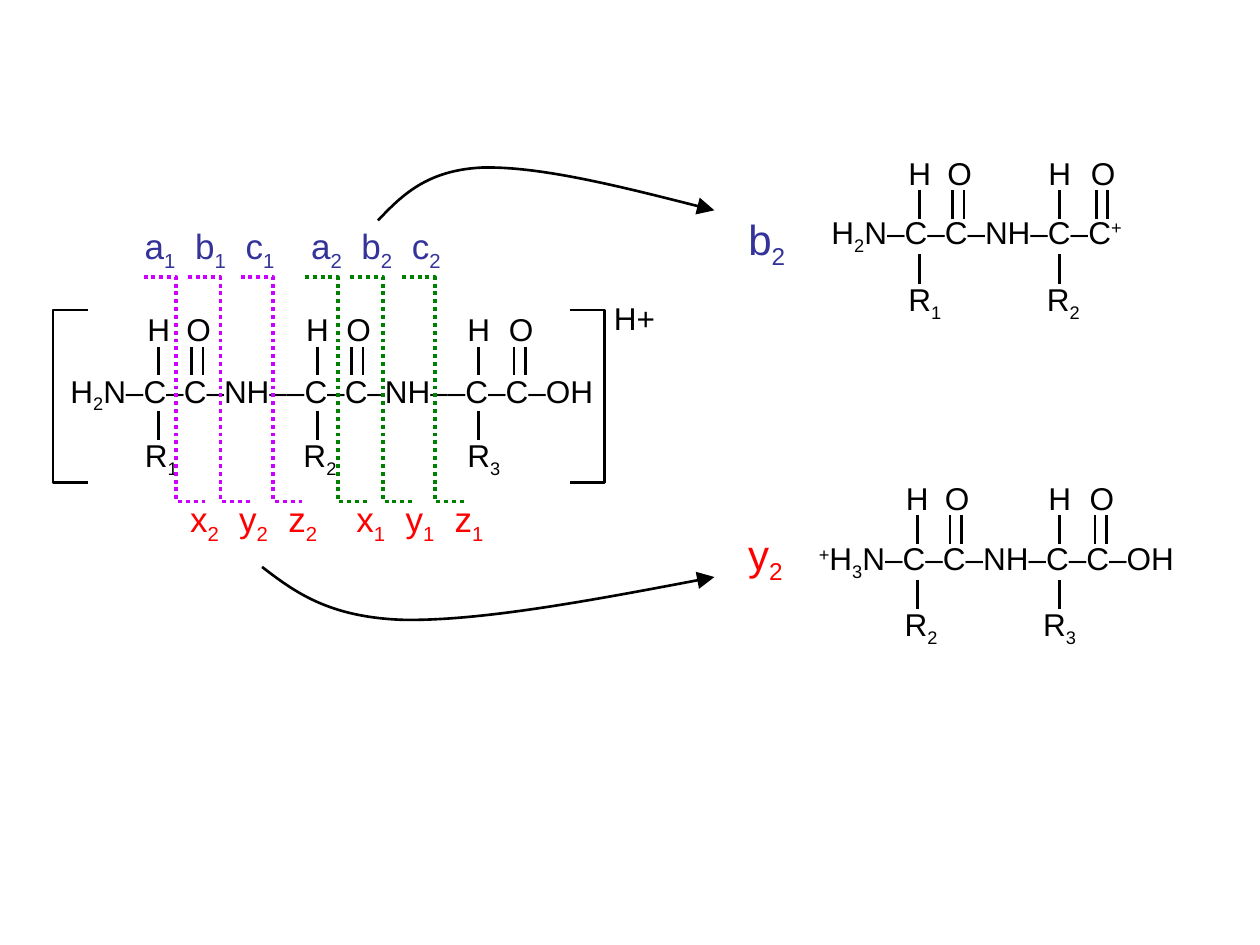
from lxml.etree import SubElement
from pptx import Presentation
from pptx.dml.color import RGBColor
from pptx.enum.dml import MSO_LINE
from pptx.enum.shapes import MSO_CONNECTOR
from pptx.enum.text import MSO_ANCHOR, PP_ALIGN
from pptx.oxml.ns import qn
from pptx.util import Inches, Pt

BLACK = RGBColor(0x00, 0x00, 0x00)
BLUE = RGBColor(0x33, 0x33, 0x99)
RED = RGBColor(0xFF, 0x00, 0x00)
PURPLE = RGBColor(0xCC, 0x00, 0xFF)
GREEN = RGBColor(0x00, 0x80, 0x00)
FONT = "Arial"
BASELINES = {"_": "-25000", "^": "30000"}

# Pieces are split by "|"; a leading _ or ^ makes a subscript or superscript.
# Residues: bond x, left of O, left of R, number of R
Y_ION = dict(
    chain=("^+|H|_3|N–C–C–NH–C–C–OH", 6.4, 4.23, 3.09), bond_top=4.09,
    residues=[(7.28, 7.4, 7.08, 2), (8.41, 8.55, 8.18, 3)])
B_ION = dict(
    chain=("H|_2|N–C–C–NH–C–C|^+", 6.5, 1.64, 2.67), bond_top=1.51,
    residues=[(7.3, 7.42, 7.11, 1), (8.41, 8.56, 8.21, 2)])
PEPTIDE = dict(
    chain=("H|_2|N–C–C–NH––C–C–NH––C–C–OH", 0.46, 2.9, 4.45), bond_top=2.75,
    residues=[(1.26, 1.38, 1.05, 1), (2.52, 2.65, 2.31, 2), (3.8, 3.94, 3.61, 3)])
ION_NAMES = [("y|_2", 4.14, 0.47, RED, Y_ION), ("b|_2", 1.64, 0.49, BLUE, B_ION)]

# Cleavage site: colour, cut lefts, upper letters' left and number, lower ones'
SITES = [
    (PURPLE, (1.14, 1.49, 1.91), (1.05, 1), (1.41, 2)),
    (GREEN, (2.42, 2.78, 3.19), (2.37, 2), (2.73, 1)),
]
CUT_TOP, CUT_BOTTOM, CUT_ARM = 2.2, 3.98, 0.26
# Letters, top, width, distance between letters, colour
UPPER_LABELS = ("abc", 1.73, 1.22, 0.4, BLUE)
LOWER_LABELS = ("xyz", 3.9, 1.19, 0.39, RED)

# Bracket: x of the open ends, x of the upright
BRACKETS = [(0.7, 0.42), (4.52, 4.8)]
BRACKET_TOP, BRACKET_BOTTOM = 2.46, 3.83

# Start point, then three Bézier points for each curve segment
ARROWS = [
    [(3, 1.75), (3.19, 1.55), (3.39, 1.35), (3.83, 1.33),
     (4.28, 1.32), (4.97, 1.49), (5.67, 1.67)],
    [(2.08, 4.5), (2.34, 4.7), (2.61, 4.9), (3.2, 4.92),
     (3.8, 4.93), (4.73, 4.76), (5.67, 4.58)],
]


def add_text(shapes, text, left, top, width, height, size=18, color=BLACK,
             align=PP_ALIGN.LEFT, wrap=False, tab_gap=None):
    box = shapes.add_textbox(*map(Inches, (left, top, width, height)))
    frame = box.text_frame
    frame.word_wrap = wrap
    frame.vertical_anchor = MSO_ANCHOR.MIDDLE
    if align == PP_ALIGN.LEFT:
        frame.margin_right = 0  # leaves room for the last letter on the line
    paragraph = frame.paragraphs[0]
    paragraph.alignment = align
    if tab_gap:
        tabs = SubElement(paragraph._p.get_or_add_pPr(), qn("a:tabLst"))
        for step in (1, 2):
            SubElement(tabs, qn("a:tab"), pos=str(Inches(step * tab_gap)), algn="l")
    for piece in text.split("|"):
        baseline = BASELINES.get(piece[0])
        run = paragraph.add_run()
        run.text = piece[1:] if baseline else piece
        run.font.name, run.font.size = FONT, Pt(size)
        run.font.color.rgb = color
        if baseline:
            run._r.get_or_add_rPr().set("baseline", baseline)


def add_bond(shapes, x, top, length=0.23):
    bond = shapes.add_connector(MSO_CONNECTOR.STRAIGHT, Inches(x), Inches(top),
                                Inches(x), Inches(top + length))
    bond.line.color.rgb = BLACK
    bond.line.width = Pt(1.5)
    SubElement(bond._element.spPr, qn("a:effectLst"))


def add_outline(shapes, points, color=BLACK, width=1.5, dash=None):
    start, *rest = [(Inches(x), Inches(y)) for x, y in points]
    builder = shapes.build_freeform(*start)
    builder.add_line_segments(rest, close=False)
    outline = builder.convert_to_shape()
    outline.shadow.inherit = False
    outline.fill.background()
    outline.line.color.rgb = color
    outline.line.width = Pt(width)
    if dash:
        outline.line.dash_style = dash
    return outline


def add_curved_arrow(shapes, points):
    """Turn each three line segments of an outline into one Bézier segment."""
    arrow = add_outline(shapes, points)
    path = arrow._element.find(".//" + qn("a:path"))
    segments = path.findall(qn("a:lnTo"))
    for first in range(0, len(segments), 3):
        curve = SubElement(path, qn("a:cubicBezTo"))
        for segment in segments[first:first + 3]:
            curve.append(segment[0])
            path.remove(segment)
    SubElement(arrow.line._get_or_add_ln(), qn("a:tailEnd"),
               type="triangle", w="lg", len="lg")


def add_molecule(shapes, chain, bond_top, residues):
    text, left, top, width = chain
    add_text(shapes, text, left, top, width, 0.44, wrap=True)
    for bond_x, o_left, r_left, number in residues:
        atoms = [("H", bond_x - 0.19, -0.34, 0.38, 0.4),
                 ("O", o_left, -0.34, 0.39, 0.4),
                 (f"R|_{number}", r_left, 0.66, 0.46, 0.44)]
        for atom, x, offset, w, h in atoms:
            add_text(shapes, atom, x, bond_top + offset, w, h, align=PP_ALIGN.CENTER)
        for x in (bond_x, o_left + 0.14, o_left + 0.23):
            add_bond(shapes, x, bond_top)
        add_bond(shapes, bond_x, bond_top + 0.51)


def add_site_labels(shapes, left, number, labels):
    letters, top, width, gap, color = labels
    text = f"|_{number}|\t".join(letters) + f"|_{number}"
    add_text(shapes, text, left, top, width, 0.48, size=20, color=color, tab_gap=gap)


def main():
    prs = Presentation()
    prs.slide_width, prs.slide_height = Inches(10), Inches(7.5)
    slide = prs.slides.add_slide(prs.slide_layouts[6])

    for name, top, width, color, molecule in ION_NAMES:
        ion = slide.shapes.add_group_shape().shapes
        add_text(ion, name, 5.84, top, width, 0.56, size=24, color=color)
        add_molecule(ion, **molecule)

    precursor = slide.shapes.add_group_shape().shapes
    add_molecule(precursor, **PEPTIDE)
    for end, upright in BRACKETS:
        add_outline(precursor, [(end, BRACKET_TOP), (upright, BRACKET_TOP),
                                (upright, BRACKET_BOTTOM), (end, BRACKET_BOTTOM)])
    add_text(precursor, "H+", 4.68, 2.32, 0.71, 0.4, align=PP_ALIGN.CENTER, wrap=True)
    for color, cut_lefts, upper, lower in SITES:
        for left in cut_lefts:
            middle = left + CUT_ARM
            add_outline(precursor, [(left, CUT_TOP), (middle, CUT_TOP),
                                    (middle, CUT_BOTTOM), (middle + CUT_ARM, CUT_BOTTOM)],
                        color=color, width=2.25, dash=MSO_LINE.ROUND_DOT)
        add_site_labels(precursor, *upper, UPPER_LABELS)
        add_site_labels(precursor, *lower, LOWER_LABELS)

    for points in ARROWS:
        add_curved_arrow(slide.shapes, points)
    prs.save("out.pptx")


if __name__ == "__main__":
    main()
